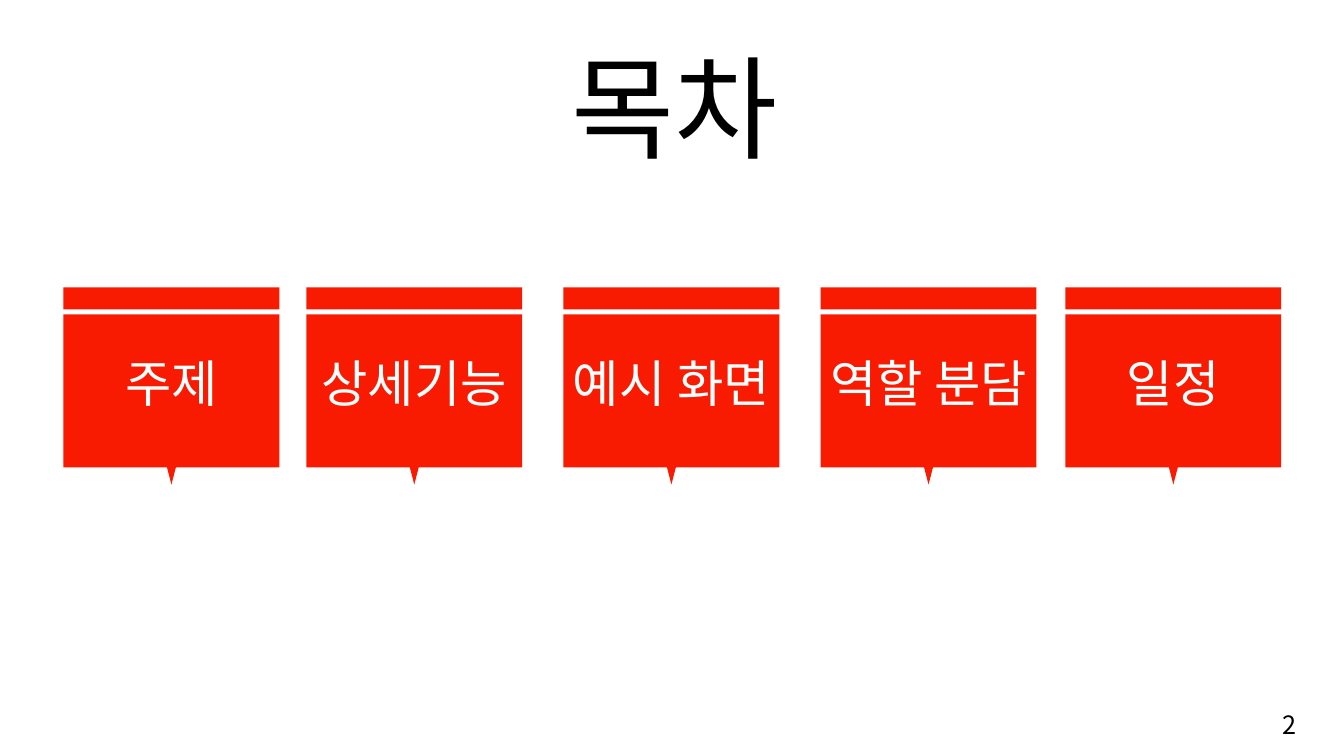
import pptx
import pptx.util
import pptx.dml.color
import pptx.enum.shapes
import pptx.enum.text
import lxml.etree
from pptx.oxml.ns import qn

Cm = pptx.util.Cm
SHAPES = pptx.enum.shapes.MSO_SHAPE
ALIGN = pptx.enum.text.PP_ALIGN
FONT = "Noto Sans CJK KR"
COLORS = {"card": "F81B02", "label": "FFFFFF", "text": "000000"}
CHAPTERS = [
    ("주제", 1.6),
    ("상세기능", 7.72),
    ("예시 화면", 14.2),
    ("역할 분담", 20.68),
    ("일정", 26.85),
]
CARD_TOP, CARD_WIDTH, LABEL_WIDTH = 7.24, 5.44, 5.96


def rgb(name):
    return pptx.dml.color.RGBColor.from_string(COLORS[name])


def write(holder, text, size, color, align):
    frame = holder.text_frame
    frame.text = text
    frame.word_wrap = True
    frame.auto_size = pptx.enum.text.MSO_AUTO_SIZE.NONE
    frame.vertical_anchor = pptx.enum.text.MSO_ANCHOR.TOP
    paragraph = frame.paragraphs[0]
    paragraph.alignment = align
    paragraph.line_spacing = 1.0
    run = paragraph.runs[0]
    run.font.size = pptx.util.Pt(size)
    run.font.name = FONT
    run.font.color.rgb = rgb(color)
    east_asian = lxml.etree.SubElement(run._r.get_or_add_rPr(), qn("a:ea"))
    east_asian.set("typeface", FONT)


def add_heading(slide, left, top, width, height):
    heading = slide.shapes.title
    heading.left, heading.top = Cm(left), Cm(top)
    heading.width, heading.height = Cm(width), Cm(height)
    write(heading, "목차", 80, "text", ALIGN.LEFT)


def add_card(slide, left, top, width):
    card = slide.shapes.add_group_shape()
    parts = [
        (SHAPES.ISOSCELES_TRIANGLE, (width - 0.3) / 2, 4.39, 0.3, 0.58, 180),
        (SHAPES.RECTANGLE, 0, 0.68, width, 3.86, 0),
        (SHAPES.RECTANGLE, 0, 0, width, 0.56, 0),
    ]
    for kind, dx, dy, part_width, part_height, turn in parts:
        part = card.shapes.add_shape(
            kind, Cm(left + dx), Cm(top + dy), Cm(part_width), Cm(part_height))
        part.rotation = turn
        part.shadow.inherit = False
        part.fill.solid()
        part.fill.fore_color.rgb = rgb("card")
        part.line.fill.background()


def add_label(slide, text, left, top, width):
    label = slide.shapes.add_textbox(Cm(left), Cm(top), Cm(width), Cm(1.8))
    write(label, text, 36, "label", ALIGN.CENTER)


def add_chapters(slide, top):
    for _, left in CHAPTERS:
        add_card(slide, left, top, CARD_WIDTH)
    for name, left in CHAPTERS:
        label_left = left - (LABEL_WIDTH - CARD_WIDTH) / 2
        add_label(slide, name, label_left, top + 1.52, LABEL_WIDTH)


def add_page_number(slide, left, top, width, height):
    number = slide.shapes.add_textbox(Cm(left), Cm(top), Cm(width), Cm(height))
    write(number, "2", 18, "text", ALIGN.LEFT)


def main():
    deck = pptx.Presentation()
    deck.slide_width, deck.slide_height = Cm(33.87), Cm(19.05)
    contents = deck.slides.add_slide(deck.slide_layouts[5])
    add_heading(contents, 14.15, 0.84, 5.84, 3.68)
    add_chapters(contents, CARD_TOP)
    add_page_number(contents, 32.08, 17.75, 1.27, 1.02)
    deck.save("out.pptx")


if __name__ == "__main__":
    main()
